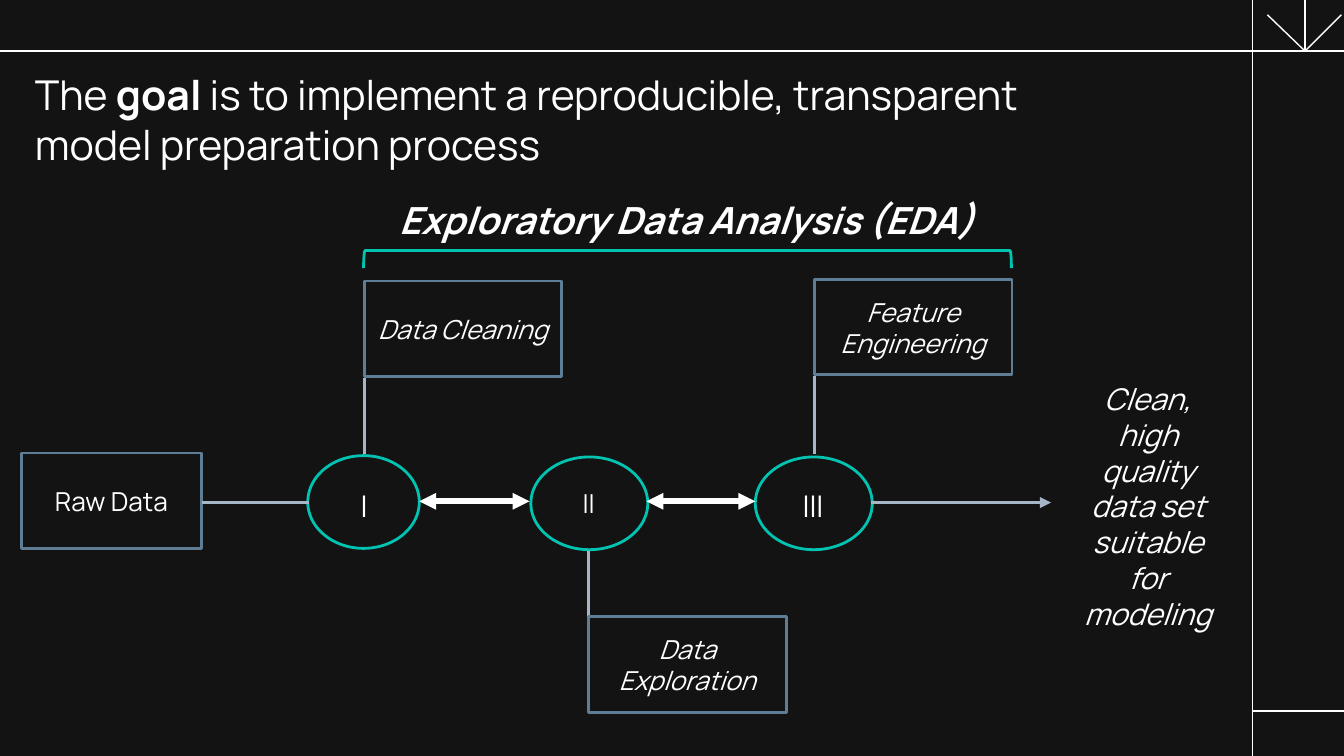
from lxml import etree
from pptx import Presentation
from pptx.dml.color import RGBColor
from pptx.enum.shapes import MSO_CONNECTOR, MSO_SHAPE
from pptx.enum.text import MSO_ANCHOR, MSO_AUTO_SIZE, PP_ALIGN
from pptx.oxml.ns import qn
from pptx.util import Inches, Pt

STRAIGHT = MSO_CONNECTOR.STRAIGHT
RECTANGLE, OVAL, BRACKET = MSO_SHAPE.RECTANGLE, MSO_SHAPE.OVAL, MSO_SHAPE.LEFT_BRACKET
TOP, MIDDLE = MSO_ANCHOR.TOP, MSO_ANCHOR.MIDDLE
LEFT, CENTER = PP_ALIGN.LEFT, PP_ALIGN.CENTER
NO_FIT = MSO_AUTO_SIZE.NONE

WIDTH = 10
HEIGHT = WIDTH * 9 / 16

BLACK = RGBColor(0x13, 0x13, 0x13)
WHITE = RGBColor(0xFF, 0xFF, 0xFF)
TEAL = RGBColor(0x00, 0xC3, 0xB1)
SLATE = RGBColor(0x5F, 0x7D, 0x95)
MIST = RGBColor(0xA5, 0xB7, 0xC6)


class SlideBuilder:
    font = "Manrope"
    inset = Inches(0.1)
    outline = 1.5

    def __init__(self, slide):
        self.slide = slide
        slide.background.fill.solid()
        slide.background.fill.fore_color.rgb = BLACK

    def style_text(self, frame, size, align=CENTER, anchor=MIDDLE, bold=False, italic=False):
        frame.word_wrap = True
        frame.auto_size = NO_FIT
        frame.vertical_anchor = anchor
        frame.margin_left = frame.margin_right = self.inset
        frame.margin_top = frame.margin_bottom = self.inset
        for para in frame.paragraphs:
            para.alignment = align
            for span in para.runs:
                span.font.name = self.font
                span.font.size = Pt(size)
                span.font.bold = bold
                span.font.italic = italic
                span.font.color.rgb = WHITE

    def title(self, spans, place, size):
        title = self.slide.shapes.title
        title.left, title.top, title.width, title.height = map(Inches, place)
        para = title.text_frame.paragraphs[0]
        for text, _ in spans:
            para.add_run().text = text
        self.style_text(title.text_frame, size, LEFT, TOP)
        for span, (_, bold) in zip(para.runs, spans):
            span.font.bold = bold

    def shape(self, kind, place, color):
        shape = self.slide.shapes.add_shape(kind, *map(Inches, place))
        shape.shadow.inherit = False
        shape.fill.background()
        shape.line.color.rgb = color
        shape.line.width = Pt(self.outline)
        return shape

    def box(self, text, place, italic=True):
        box = self.shape(RECTANGLE, place, SLATE)
        box.text_frame.text = text
        self.style_text(box.text_frame, 14, italic=italic)

    def label(self, text, place, size, **style):
        label = self.slide.shapes.add_textbox(*map(Inches, place))
        label.text_frame.text = text
        self.style_text(label.text_frame, size, **style)
        return label

    def line(self, start, end, color, width=1.5, arrows=()):
        line = self.slide.shapes.add_connector(STRAIGHT, *map(Inches, (*start, *end)))
        line.line.color.rgb = color
        line.line.width = Pt(width)
        outline = line.line._get_or_add_ln()
        for arrow in arrows:
            etree.SubElement(outline, qn(f"a:{arrow}"), type="triangle")
        etree.SubElement(line._element.spPr, qn("a:effectLst"))


def main():
    deck = Presentation()
    deck.slide_width, deck.slide_height = Inches(WIDTH), Inches(HEIGHT)
    page = SlideBuilder(deck.slides.add_slide(deck.slide_layouts[5]))

    # Frame lines and corner ornament
    rail, rule, tip = 9.32, 0.38, 9.71
    for start, end in (
        ((rail, 0), (rail, HEIGHT)),
        ((0, rule), (WIDTH, rule)),
        ((rail, 5.29), (WIDTH, 5.29)),
        ((tip, 0), (tip, rule)),
        ((9.98, 0.11), (tip, rule)),
        ((9.43, 0.11), (tip, rule)),
    ):
        page.line(start, end, WHITE, 0.75)

    page.title(
        [("The ", False), ("goal", True),
         (" is to implement a reproducible, transparent model preparation process", False)],
        (0.16, 0.42, 8.43, 0.63), 22)

    # Numbered stages: numeral, size, circle, centre of the numeral
    for numeral, size, circle, center in (
        ("I", 16, (2.29, 3.39, 0.83, 0.69), 2.71),
        ("II", 14, (3.95, 3.4, 0.87, 0.69), 4.38),
        ("III", 16, (5.62, 3.4, 0.87, 0.69), 6.05),
    ):
        page.shape(OVAL, circle, TEAL)
        label = page.label(numeral, (center - 0.2, 3.58, 0.4, 0.37), size, anchor=TOP)
        frame = label.text_frame
        frame.word_wrap = False
        frame.margin_top = frame.margin_bottom = Inches(0.05)

    # Flow from raw data to the result
    page.box("Raw Data", (0.16, 3.37, 1.34, 0.71), italic=False)
    page.line((1.5, 3.74), (2.3, 3.74), MIST)
    page.line((6.48, 3.74), (7.82, 3.74), MIST, arrows=["tailEnd"])
    for left, right in ((3.12, 3.94), (4.81, 5.62)):
        page.line((left, 3.73), (right, 3.73), WHITE, 3, ["headEnd", "tailEnd"])
    page.label("Clean, high quality data set suitable for modeling",
               (7.89, 3.41, 1.3, 0.71), 16, italic=True)

    # Stage names, each on a stem from its circle
    for name, left, top, stem_start, stem_end in (
        ("Data Cleaning", 2.71, 2.09, 3.38, 2.81),
        ("Data Exploration", 4.38, 4.59, 4.1, 4.58),
        ("Feature Engineering", 6.06, 2.08, 3.38, 2.8),
    ):
        page.line((left, stem_start), (left, stem_end), MIST)
        page.box(name, (left, top, 1.47, 0.71))

    # Bracket over the analysis stages
    bracket = page.shape(BRACKET, (5.05, -0.48, 0.13, 4.82), TEAL)
    bracket.rotation = 90
    page.label("Exploratory Data Analysis (EDA)", (2.7, 1.4, 4.82, 0.47), 20,
               bold=True, italic=True)

    deck.save("out.pptx")


if __name__ == "__main__":
    main()
